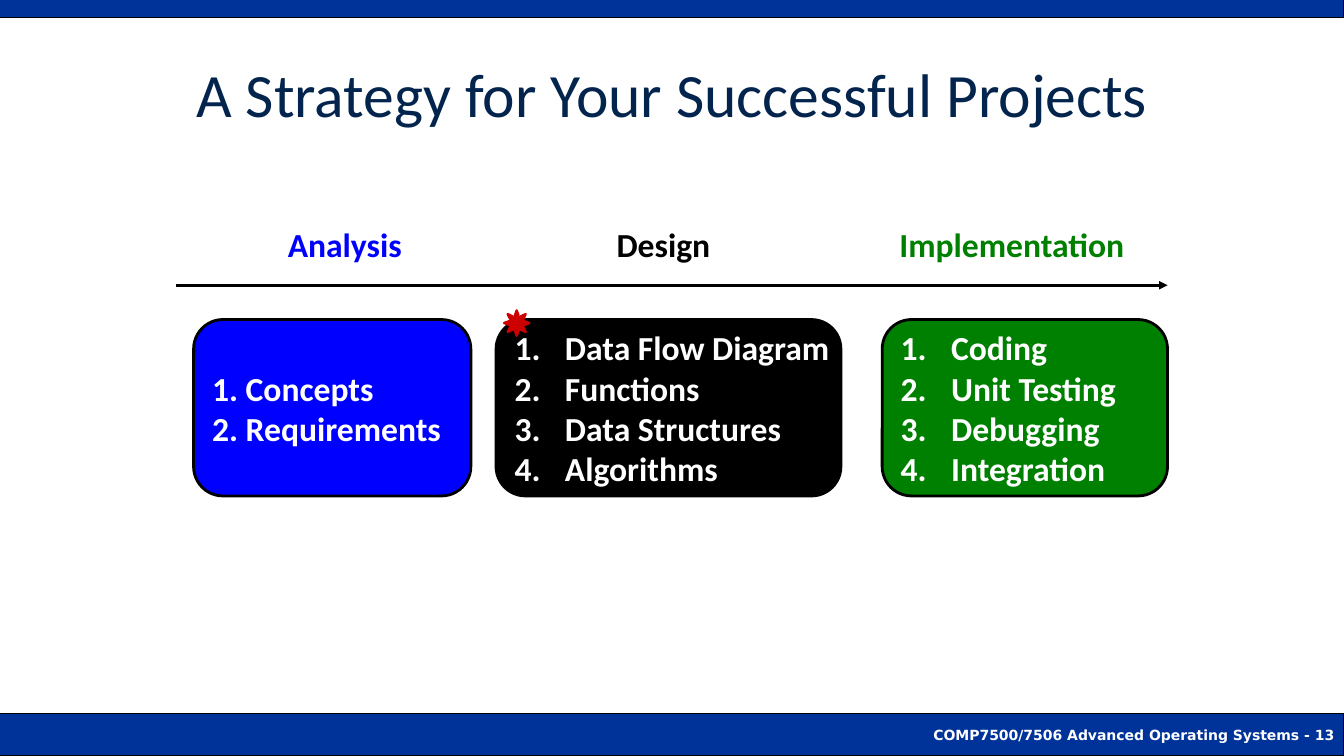
"""Build the project strategy slide with its three phases."""
from dataclasses import dataclass

import lxml.etree
import pptx
import pptx.dml.color
import pptx.enum.shapes
import pptx.enum.text
import pptx.oxml.ns
import pptx.util

Inches = pptx.util.Inches
Shape = pptx.enum.shapes.MSO_SHAPE
Align = pptx.enum.text.PP_ALIGN
Anchor = pptx.enum.text.MSO_ANCHOR


@dataclass(frozen=True)
class Theme:
    """Colours, fonts and type sizes of the slide."""
    band: str = "003399"
    title: str = "03244D"
    analysis: str = "0000FF"
    design: str = "000000"
    implementation: str = "008000"
    star: str = "CC0000"
    light: str = "FFFFFF"
    line: str = "000000"
    body_font: str = "Calibri"
    footer_font: str = "DejaVu Sans"
    title_size: int = 44
    body_size: int = 24
    footer_size: int = 10


def rgb(value):
    """Return the colour object for a hexadecimal value."""
    return pptx.dml.color.RGBColor.from_string(value)


def add_element(parent, tag, **attributes):
    """Append a drawing element to a parent."""
    return lxml.etree.SubElement(parent, pptx.oxml.ns.qn(tag), attributes)


class SlideBuilder:
    """Hold the theme and the current slide and add elements to it."""

    def __init__(self, slide, theme):
        """Keep the slide and the theme."""
        self.slide = slide
        self.theme = theme

    def set_text(self, shape, lines, color, size, font=None, bold=True,
                 align=Align.LEFT, anchor=Anchor.MIDDLE, numbered=False):
        """Put formatted lines into a shape."""
        frame = shape.text_frame
        frame.word_wrap = True
        frame.vertical_anchor = anchor
        frame.text = "\n".join(lines)
        for paragraph in frame.paragraphs:
            paragraph.alignment = align
            if numbered:
                properties = paragraph._p.get_or_add_pPr()
                properties.set("marL", str(Inches(0.5)))
                properties.set("indent", str(Inches(-0.5)))
                add_element(properties, "a:buFont", typeface="+mj-lt")
                add_element(properties, "a:buAutoNum", type="arabicPeriod")
            for run in paragraph.runs:
                run.font.name = font or self.theme.body_font
                run.font.size = pptx.util.Pt(size)
                run.font.bold = bold
                run.font.color.rgb = rgb(color)

    def shape(self, kind, left, top, width, height, fill, line, weight):
        """Add a filled preset shape."""
        shape = self.slide.shapes.add_shape(
            kind, Inches(left), Inches(top), Inches(width), Inches(height))
        shape.shadow.inherit = False
        shape.fill.solid()
        shape.fill.fore_color.rgb = rgb(fill)
        shape.line.color.rgb = rgb(line)
        shape.line.width = pptx.util.Pt(weight)
        return shape

    def band(self, top, height):
        """Add a band across the full width."""
        return self.shape(Shape.RECTANGLE, 0, top, 13.33, height,
                          self.theme.band, self.theme.line, 0.75)

    def label(self, text, left, top, width, height, color, size, **style):
        """Add a centred text box."""
        box = self.slide.shapes.add_textbox(
            Inches(left), Inches(top), Inches(width), Inches(height))
        self.set_text(box, [text], color, size, align=Align.CENTER, **style)

    def phase_box(self, left, width, fill, lines, numbered):
        """Add a rounded box listing the work of a phase."""
        box = self.shape(Shape.ROUNDED_RECTANGLE, left, 3.17, width, 1.75,
                         fill, self.theme.line, 2)
        box.text_frame.margin_right = 0
        self.set_text(box, lines, self.theme.light, self.theme.body_size,
                      numbered=numbered)

    def arrow(self, left, right, height):
        """Add a horizontal arrow pointing right."""
        arrow = self.slide.shapes.add_connector(
            pptx.enum.shapes.MSO_CONNECTOR.STRAIGHT,
            Inches(left), Inches(height), Inches(right), Inches(height))
        arrow.line.color.rgb = rgb(self.theme.line)
        arrow.line.width = pptx.util.Pt(2)
        add_element(arrow.line._get_or_add_ln(), "a:tailEnd", type="triangle")
        add_element(arrow._element.spPr, "a:effectLst")


def main():
    """Build and save the presentation."""
    theme = Theme()
    presentation = pptx.Presentation()
    presentation.slide_width = Inches(13.33)
    presentation.slide_height = Inches(7.5)
    slide = presentation.slides.add_slide(presentation.slide_layouts[6])
    builder = SlideBuilder(slide, theme)

    footer = builder.band(7.08, 0.42)
    builder.set_text(footer, ["COMP7500/7506 Advanced Operating Systems - 13"],
                     theme.light, theme.footer_size, theme.footer_font,
                     align=Align.RIGHT)
    builder.band(0, 0.17)
    builder.label("A Strategy for Your Successful Projects",
                  0.67, 0.3, 12, 1.25, theme.title, theme.title_size,
                  bold=False)
    builder.arrow(1.75, 11.58, 2.83)

    phases = [
        ("Analysis", 1.92, 3, 1.92, 2.75, theme.analysis, False,
         ["1. Concepts", "2. Requirements"]),
        ("Design", 5.08, 3, 4.92, 3.42, theme.design, True,
         ["Data Flow Diagram", "Functions", "Data Structures", "Algorithms"]),
        ("Implementation", 8.62, 2.83, 8.75, 2.83, theme.implementation, True,
         ["Coding", "Unit Testing", "Debugging", "Integration"]),
    ]
    for (name, label_left, label_width, box_left, box_width, color,
         numbered, lines) in phases:
        builder.label(name, label_left, 2.17, label_width, 0.5, color,
                      theme.body_size, anchor=Anchor.TOP)
        builder.phase_box(box_left, box_width, color, lines, numbered)
    builder.shape(Shape.SUN, 5, 3.08, 0.25, 0.25, theme.star, theme.star, 1.75)

    presentation.save("out.pptx")


if __name__ == "__main__":
    main()
